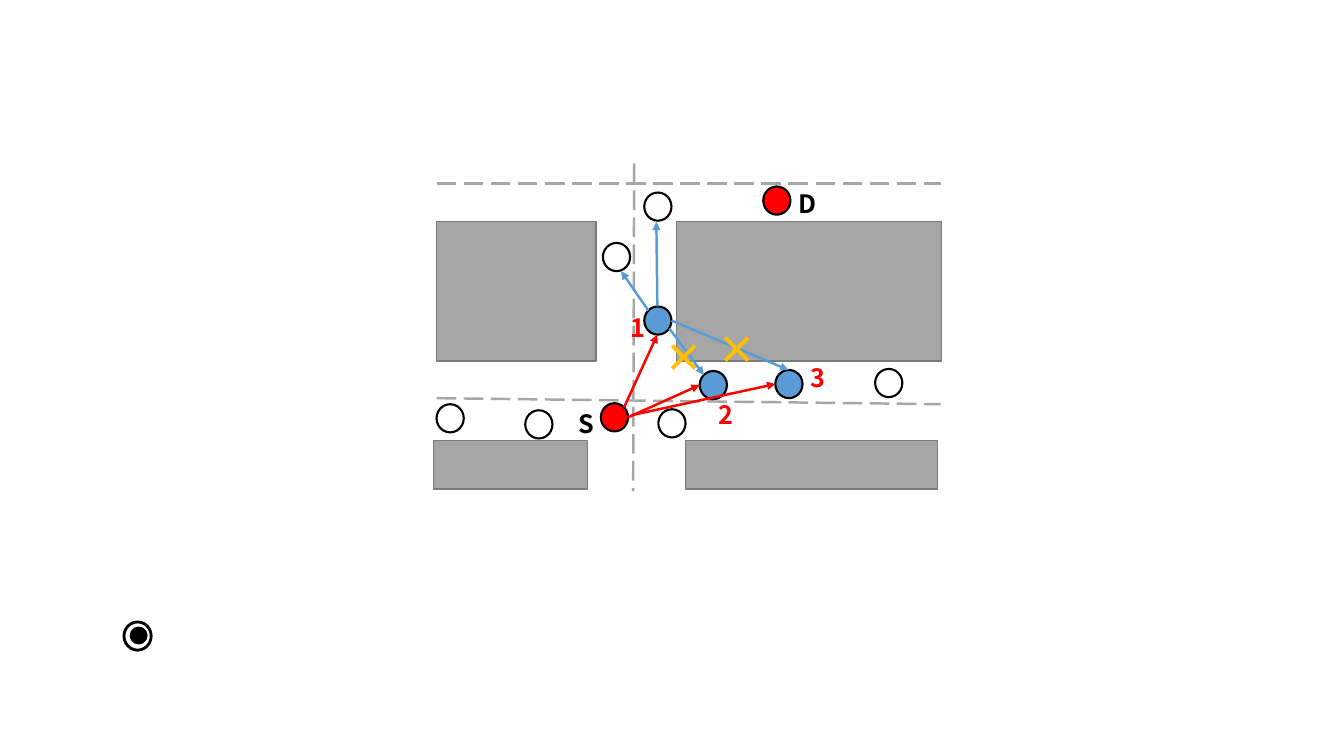
import lxml.etree
import pptx
import pptx.dml.color
import pptx.enum.dml
import pptx.enum.shapes
import pptx.enum.text
import pptx.oxml.ns
import pptx.util

COLOURS = {
    "white": "FFFFFF", "black": "000000", "red": "FF0000", "blue": "5B9BD5",
    "block": "A5A5A5", "block edge": "7A7A7A", "road": "A6A6A6", "cross": "FFC000",
}
FONT = "Noto Sans CJK JP"
COLUMNS, ROWS = 133.3, 75  # grid cells across and down the slide
NODE_SIZE = (2.7, 2.8)


def colour(name):
    return pptx.dml.color.RGBColor.from_string(COLOURS[name])


def add_child(parent, tag, **attributes):
    child = lxml.etree.SubElement(parent, pptx.oxml.ns.qn(tag))
    for key, value in attributes.items():
        child.set(key, value)


def write_text(paragraph, text, size=18, bold=True, color="black"):
    run = paragraph.add_run()
    run.text = text
    run.font.size = pptx.util.Pt(size)
    run.font.bold = bold
    run.font.name = FONT
    run.font.color.rgb = colour(color)
    add_child(run.font._element, "a:ea", typeface=FONT)


class Diagram:
    """Draws on one slide; all lengths are grid columns and rows."""

    def __init__(self, presentation):
        self.column = presentation.slide_width / COLUMNS
        self.row = presentation.slide_height / ROWS
        self.slide = presentation.slides.add_slide(presentation.slide_layouts[6])
        self.start_group()

    def start_group(self):
        self.shapes = self.slide.shapes.add_group_shape().shapes

    def scale(self, *lengths):
        units = (self.column, self.row)
        return [round(length * units[i % 2]) for i, length in enumerate(lengths)]

    def shape(self, kind, box, fill, edge, width):
        shape = self.shapes.add_shape(kind, *self.scale(*box))
        shape.shadow.inherit = False
        shape.fill.solid()
        shape.fill.fore_color.rgb = colour(fill)
        shape.line.color.rgb = colour(edge)
        shape.line.width = pptx.util.Pt(width)

    def block(self, *box):
        self.shape(pptx.enum.shapes.MSO_SHAPE.RECTANGLE, box, "block", "block edge", 1)

    def node(self, left, top, fill="white", size=NODE_SIZE, width=1.5):
        box = (left, top, *size)
        self.shape(pptx.enum.shapes.MSO_SHAPE.OVAL, box, fill, "black", width)

    def line(self, points, color, dashed=False, arrow=False):
        connector = self.shapes.add_connector(
            pptx.enum.shapes.MSO_CONNECTOR.STRAIGHT, *self.scale(*points))
        connector.line.color.rgb = colour(color)
        connector.line.width = pptx.util.Pt(1.75)
        if dashed:
            connector.line.dash_style = pptx.enum.dml.MSO_LINE.LONG_DASH
        properties = connector.element.spPr
        if arrow:
            outline = properties.find(pptx.oxml.ns.qn("a:ln"))
            add_child(outline, "a:tailEnd", type="triangle")
        add_child(properties, "a:effectLst")

    def label(self, text, box, **text_format):
        frame = self.shapes.add_textbox(*self.scale(*box)).text_frame
        frame.word_wrap = True
        frame.auto_size = pptx.enum.text.MSO_AUTO_SIZE.SHAPE_TO_FIT_TEXT
        write_text(frame.paragraphs[0], text, **text_format)


def main():
    presentation = pptx.Presentation()
    presentation.slide_width = pptx.util.Inches(13.33)
    presentation.slide_height = pptx.util.Inches(7.5)
    diagram = Diagram(presentation)

    # Ringed dot at the lower left
    diagram.node(12.3, 61.7, width=2)
    diagram.node(13, 62.3, "black", size=(1.5, 1.5), width=2)

    # Building blocks
    diagram.start_group()
    for left, top, width, height in (
        (67.1, 22, 26.3, 13.8), (43.3, 22, 15.8, 13.8),
        (68, 43.7, 25, 4.8), (43, 43.7, 15.3, 4.8),
    ):
        diagram.block(left, top, width, height)

    # Road centre lines
    for points in (
        (43.3, 39.5, 93.3, 40.1), (43.3, 18.2, 93.3, 18.2), (62.9, 16.2, 62.8, 48.7),
    ):
        diagram.line(points, "road", dashed=True)

    # Vehicles: source and destination, relays, others
    nodes = {
        "red": ((75.7, 18.5), (59.6, 40)),
        "blue": ((76.9, 36.7), (63.9, 30.4), (69.4, 36.8)),
        "white": ((43.3, 40.1), (52.1, 40.7), (65.3, 40.6),
                  (63.9, 19.1), (86.8, 36.6), (59.8, 24.1)),
    }
    for fill, corners in nodes.items():
        for left, top in corners:
            diagram.node(left, top, fill)

    # Transmissions from the source, then from relay 1
    arrows = {
        "red": ((62.3, 41.4, 69.4, 38.2), (61.9, 40.4, 65.2, 33.2),
                (62.6, 41.2, 76.9, 38.1)),
        "blue": ((64.3, 30.8, 61.6, 26.9), (65.2, 30.4, 65.1, 22),
                 (66.4, 32.6, 69.8, 37.2), (66.6, 31.8, 78.2, 36.7)),
    }
    for color, paths in arrows.items():
        for points in paths:
            diagram.line(points, color, arrow=True)

    # Node labels
    for text, left, top, width, color in (
        ("D", 78.2, 18.2, 3.8, "black"), ("S", 56.4, 40, 3.9, "black"),
        ("1", 61.5, 30.5, 3.9, "red"), ("2", 70.3, 39.1, 3.9, "red"),
        ("3", 79.4, 35.5, 6.2, "red"),
    ):
        diagram.label(text, (left, top, width, 4), color=color)

    # Blocked links
    for left, top in ((64.9, 32.6), (70.2, 31.8)):
        diagram.label("×", (left, top, 4.9, 5.7), size=28, color="cross")

    presentation.save("out.pptx")


if __name__ == "__main__":
    main()
